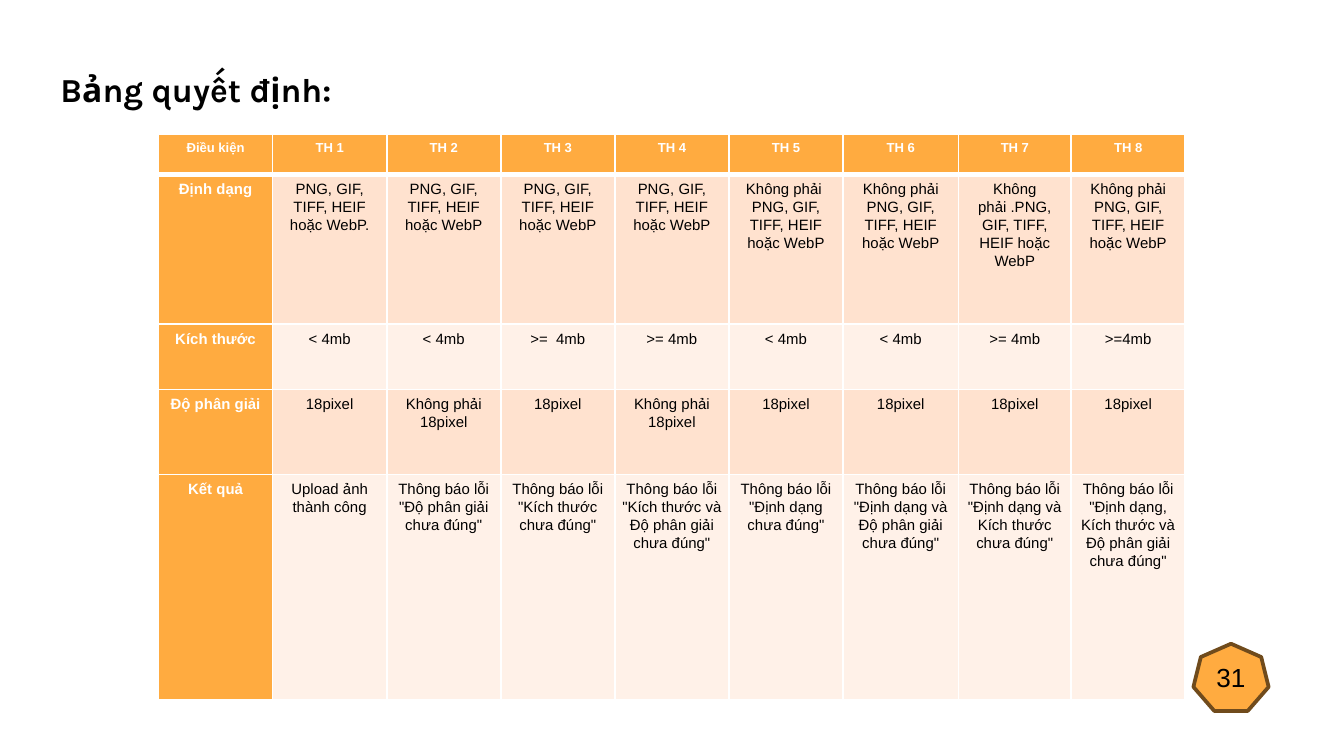
from dataclasses import dataclass

from lxml import etree
from pptx import Presentation
from pptx.dml.color import RGBColor
from pptx.enum import shapes, text
from pptx.oxml import ns
from pptx.util import Inches, Pt

ORANGE, BROWN = "FFAB40", "704B1C"
PEACH, CREAM = "FFE2CF", "FFF1E8"
WHITE, BLACK = "FFFFFF", "000000"


@dataclass
class Row:
    high: float
    fill: str
    label: str
    cells: list[str]


# Decision table: conditions and result for eight cases
ROWS = [
    Row(0.3, ORANGE, "Điều kiện", [f"TH {n}" for n in range(1, 9)]),
    Row(1.11, PEACH, "Định dạng", [
        "PNG, GIF, TIFF, HEIF hoặc WebP.",
        *["PNG, GIF, TIFF, HEIF hoặc WebP"] * 3,
        "Không phải  PNG, GIF, TIFF, HEIF hoặc WebP",
        "Không phải PNG, GIF, TIFF, HEIF hoặc WebP",
        "Không phải .PNG, GIF, TIFF, HEIF hoặc WebP",
        "Không phải PNG, GIF, TIFF, HEIF hoặc WebP",
    ]),
    Row(0.49, CREAM, "Kích thước", [
        "< 4mb", "< 4mb", ">=  4mb", ">= 4mb",
        "< 4mb", "< 4mb", ">= 4mb", ">=4mb",
    ]),
    Row(0.63, PEACH, "Độ phân giải",
        ["18pixel", "Không phải 18pixel"] * 2 + ["18pixel"] * 4),
    Row(1.68, CREAM, "Kết quả", ["Upload ảnh thành công"] + [
        f'Thông báo lỗi "{fault} chưa đúng"' for fault in (
            "Độ phân giải",
            "Kích thước",
            "Kích thước và Độ phân giải",
            "Định dạng",
            "Định dạng và Độ phân giải",
            "Định dạng và Kích thước",
            "Định dạng, Kích thước và Độ phân giải",
        )
    ]),
]
WIDE = 7.64
COL = WIDE / 9
WIDTHS = [COL] * 6 + [COL + 0.01, COL - 0.01, COL]


def color(code: str) -> RGBColor:
    return RGBColor.from_string(code)


def write(frame, words: str, *, size: float, tint: str = BLACK,
          font: str = "Arial", bold: bool = False,
          align=text.PP_ALIGN.CENTER, lines: float = 1.0) -> None:
    """Fill a text frame with one formatted paragraph."""
    par = frame.paragraphs[0]
    par.alignment = align
    par.line_spacing = lines
    par.space_before = Pt(0)
    run = par.add_run()
    run.text = words
    run.font.name, run.font.size, run.font.bold = font, Pt(size), bold
    run.font.color.rgb = color(tint)


def inset(box, gap: float) -> None:
    """Set the same margin on all four sides."""
    box.margin_left = box.margin_right = Inches(gap)
    box.margin_top = box.margin_bottom = Inches(gap)


def edge(cell, side: str, width: float) -> None:
    """Draw one white cell border."""
    line = etree.SubElement(cell._tc.get_or_add_tcPr(), ns.qn(f"a:ln{side}"),
                            w=str(Pt(width)))
    fill = etree.SubElement(line, ns.qn("a:solidFill"))
    etree.SubElement(fill, ns.qn("a:srgbClr"), val=WHITE)


def add_grid(slide, rows: list[Row]) -> None:
    """Add the decision table."""
    grid = slide.shapes.add_table(
        len(rows), len(WIDTHS), Inches(1.18), Inches(1),
        Inches(WIDE), Inches(sum(row.high for row in rows))).table
    for col, width in zip(grid.columns, WIDTHS):
        col.width = Inches(width)
    for r, row in enumerate(rows):
        grid.rows[r].height = Inches(row.high)
        for c, words in enumerate([row.label, *row.cells]):
            cell = grid.cell(r, c)
            head = r == 0 or c == 0
            inset(cell, 0.04)
            # The rule below the header row is thicker
            for side, heavy in (("L", False), ("R", False),
                                ("T", r == 1), ("B", r == 0)):
                edge(cell, side, 3 if heavy else 1)
            cell.fill.solid()
            cell.fill.fore_color.rgb = color(ORANGE if head else row.fill)
            write(cell.text_frame, words, size=7 if r == 0 else 8,
                  tint=WHITE if head else BLACK, bold=head, lines=1.07)


def add_title(slide, words: str) -> None:
    """Place and format the slide title."""
    title = slide.shapes.title
    title.left, title.top = Inches(0.35), Inches(0.31)
    title.width, title.height = Inches(2.68), Inches(0.7)
    frame = title.text_frame
    frame.auto_size = text.MSO_AUTO_SIZE.NONE
    frame.word_wrap = True
    frame.vertical_anchor = text.MSO_ANCHOR.MIDDLE
    inset(frame, 0.1)
    write(frame, words, size=18, font="Karla", bold=True,
          align=text.PP_ALIGN.JUSTIFY)


def add_badge(slide, words: str) -> None:
    """Add the page number badge."""
    badge = slide.shapes.add_shape(
        shapes.MSO_SHAPE.HEPTAGON,
        Inches(8.88), Inches(4.79), Inches(0.56), Inches(0.5))
    badge.shadow.inherit = False
    badge.fill.solid()
    badge.fill.fore_color.rgb = color(ORANGE)
    badge.line.color.rgb = color(BROWN)
    badge.line.width = Pt(2)
    frame = badge.text_frame
    frame.word_wrap = False
    frame.vertical_anchor = text.MSO_ANCHOR.MIDDLE
    inset(frame, 0)
    write(frame, words, size=14)


def main() -> None:
    deck = Presentation()
    # Widescreen, 16 to 9
    deck.slide_width, deck.slide_height = Inches(10), Inches(10 * 9 / 16)
    slide = deck.slides.add_slide(deck.slide_layouts.get_by_name("Title Only"))
    add_title(slide, "Bảng quyết định:")
    add_grid(slide, ROWS)
    add_badge(slide, "31")
    deck.save("out.pptx")


if __name__ == "__main__":
    main()
